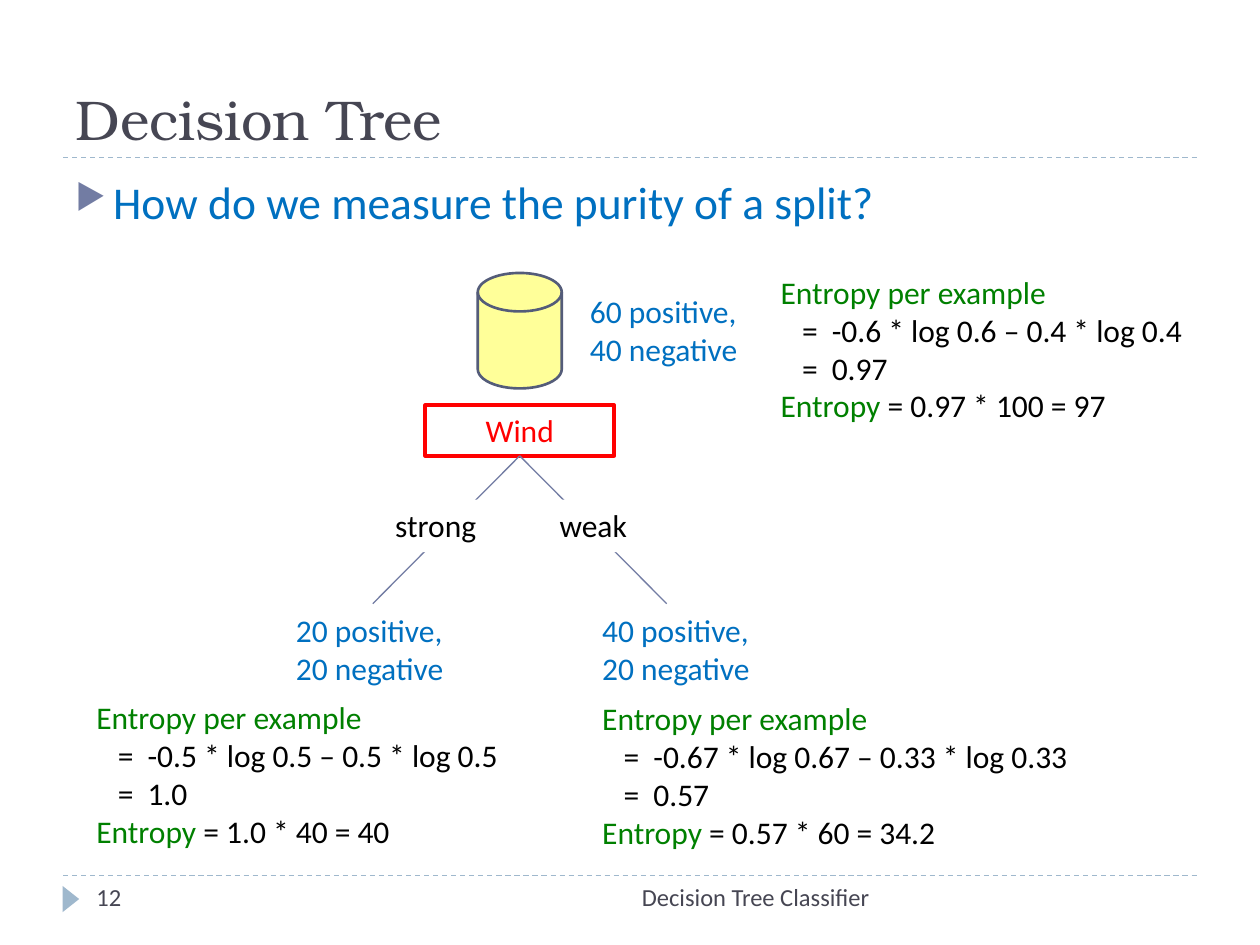
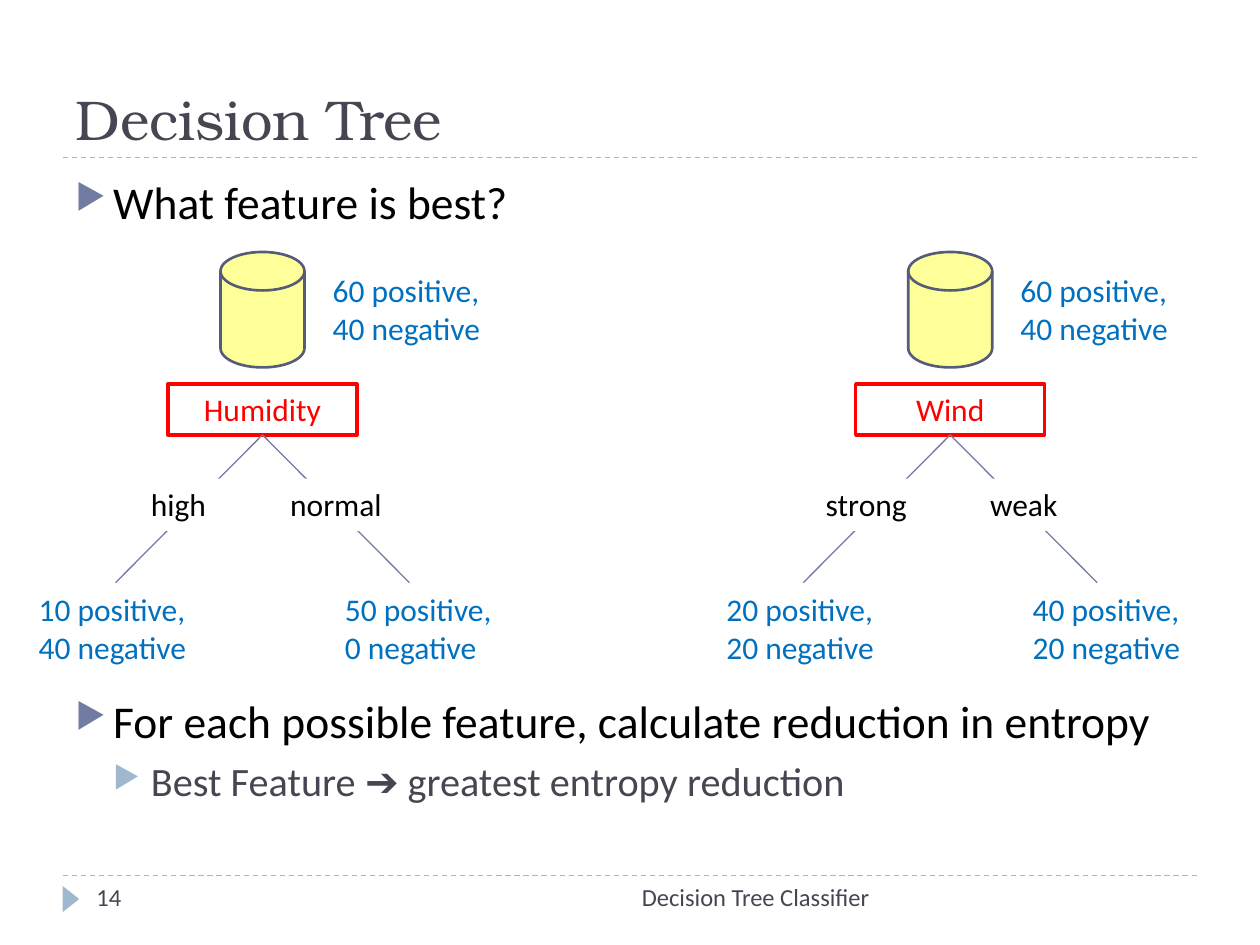
from dataclasses import dataclass

from lxml import etree
from pptx import Presentation
from pptx.dml.color import RGBColor
from pptx.enum import dml, shapes, text
from pptx.oxml import ns
from pptx.util import Pt

BODY_FONT, TITLE_FONT = "Calibri", "TeX Gyre Bonum"
SLATE, PALE_BLUE, PURPLE, OUTLINE = "464653", "9FB8CD", "727CA3", "545C79"
BLUE, GREEN, RED, BLACK = "0070C0", "008000", "FF0000", "000000"
WHITE, YELLOW = "FFFFFF", "FFFF00"
LEFT, RIGHT, CENTER = text.PP_ALIGN.LEFT, text.PP_ALIGN.RIGHT, text.PP_ALIGN.CENTER
TOP, BOTTOM = text.MSO_ANCHOR.TOP, text.MSO_ANCHOR.BOTTOM


@dataclass
class Line:
    """A paragraph made of (wording, colour) runs."""
    runs: list[tuple[str, str]]
    size: float = 18
    indent: float = 0
    hanging: float = 0
    before: float = 0
    level: int = 0
    bullet: str = ""


@dataclass
class Branch:
    value: str
    counts: str


@dataclass
class Tree:
    center: float
    top: float
    feature: str
    branches: tuple[Branch, Branch]


@dataclass
class Entropy:
    left: float
    top: float
    width: float
    formula: str
    per_example: str
    total: str


def color(value: str) -> RGBColor:
    return RGBColor.from_string(value)


def add_xml(parent, tag: str, **attributes: str):
    return etree.SubElement(parent, ns.qn(tag), attributes)


def write(shape, lines: list[Line], font=BODY_FONT, align=LEFT, anchor=TOP) -> None:
    frame = shape.text_frame
    frame.word_wrap = True
    frame.vertical_anchor = anchor
    for number, line in enumerate(lines):
        paragraph = frame.add_paragraph() if number else frame.paragraphs[0]
        paragraph.alignment = align
        paragraph.level = line.level
        paragraph.space_before = Pt(line.before)
        properties = paragraph._p.get_or_add_pPr()
        properties.set("marL", str(Pt(line.indent)))
        properties.set("indent", str(Pt(-line.hanging)))
        if line.bullet:
            add_xml(add_xml(properties, "a:buClr"), "a:srgbClr", val=line.bullet)
            add_xml(properties, "a:buSzPct", val="76000")
            add_xml(properties, "a:buChar", char="▶")
        for wording, tint in line.runs:
            run = paragraph.add_run()
            run.text = wording
            run.font.name = font
            run.font.size = Pt(line.size)
            run.font.color.rgb = color(tint)


def add_text(slide, left: float, top: float, width: float, height: float,
             lines: list[Line], **style) -> None:
    box = slide.shapes.add_textbox(Pt(left), Pt(top), Pt(width), Pt(height))
    write(box, lines, **style)


def add_shape(slide, kind, left: float, top: float, width: float, height: float,
              fill: str = "", outline: str = "", weight: float = 0):
    shape = slide.shapes.add_shape(kind, Pt(left), Pt(top), Pt(width), Pt(height))
    shape.shadow.inherit = False
    if fill:
        shape.fill.solid()
        shape.fill.fore_color.rgb = color(fill)
    else:
        shape.fill.background()
    if outline:
        shape.line.color.rgb = color(outline)
        shape.line.width = Pt(weight)
    else:
        shape.line.fill.background()
    return shape


def add_line(slide, x1: float, y1: float, x2: float, y2: float, tint: str):
    line = slide.shapes.add_connector(
        shapes.MSO_CONNECTOR.STRAIGHT, Pt(x1), Pt(y1), Pt(x2), Pt(y2))
    line.line.color.rgb = color(tint)
    line.line.width = Pt(0.75)
    add_xml(line._element.spPr, "a:effectLst")
    return line


def add_frame(deck, number: int):
    """Add a slide with the shared title, rules and footer."""
    slide = deck.slides.add_slide(deck.slide_layouts[6])
    for y in (500.4, 90):
        rule = add_line(slide, 36, y, 684, y, PALE_BLUE)
        rule.line.dash_style = dml.MSO_LINE.DASH
    marker = add_shape(slide, shapes.MSO_SHAPE.ISOSCELES_TRIANGLE,
                       33, 509, 15, 9.5, fill=PALE_BLUE)
    marker.rotation = 90
    add_text(slide, 36, 12, 648, 78, [Line([("Decision Tree", SLATE)], size=32)],
             font=TITLE_FONT, anchor=BOTTOM)
    add_text(slide, 228, 500.4, 276, 28.8,
             [Line([("Decision Tree Classifier", SLATE)], size=14)], align=RIGHT)
    add_text(slide, 48, 500.4, 156, 28.8, [Line([(str(number), SLATE)], size=14)])
    return slide


def point(wording: str, tint: str = BLACK, before: float = 6) -> Line:
    return Line([(wording, tint)], size=26, indent=21.6, hanging=21.6,
                before=before, bullet=PURPLE)


def add_body(slide, lines: list[Line]) -> None:
    add_text(slide, 36, 96, 648, 389, lines)


def add_counts(slide, left: float, top: float, counts: str) -> None:
    add_text(slide, left, top, 102, 51, [Line([(counts, BLUE)])])


def add_tree(slide, tree: Tree) -> None:
    x, y = tree.center, tree.top
    examples = add_shape(slide, shapes.MSO_SHAPE.FLOWCHART_MAGNETIC_DISK,
                         x - 24, y, 48, 66, YELLOW, OUTLINE, 1.5)
    fill_color = examples._element.spPr.find(".//" + ns.qn("a:srgbClr"))
    add_xml(fill_color, "a:alpha", val="40000")
    feature = add_shape(slide, shapes.MSO_SHAPE.RECTANGLE,
                        x - 54, y + 75.5, 108, 29, outline=RED, weight=2)
    write(feature, [Line([(tree.feature, RED)])], align=CENTER)
    add_counts(slide, x + 33, y + 7.5, "60 positive, 40 negative")
    offsets = ((-84, -84, -135), (84, 6, 40))
    for branch, (tip, value_left, counts_left) in zip(tree.branches, offsets):
        add_line(slide, x, y + 104.5, x + tip, y + 189, PURPLE)
        value = add_shape(slide, shapes.MSO_SHAPE.RECTANGLE,
                          x + value_left, y + 129.5, 72, 30, fill=WHITE)
        write(value, [Line([(branch.value, BLACK)])], align=CENTER)
        add_counts(slide, x + counts_left, y + 189.5, branch.counts)


def add_entropy(slide, entropy: Entropy) -> None:
    steps = [Line([("=\t" + step, BLACK)], indent=29.25, hanging=17)
             for step in (entropy.formula, entropy.per_example)]
    add_text(slide, entropy.left, entropy.top, entropy.width, 94.5, [
        Line([("Entropy per example", GREEN)]),
        *steps,
        Line([("Entropy", GREEN), (f" = {entropy.total}", BLACK)]),
    ])


WIND = (Branch("strong", "20 positive, 20 negative"),
        Branch("weak", "40 positive, 20 negative"))
HUMIDITY = (Branch("high", "10 positive, 40 negative"),
            Branch("normal", "50 positive, 0 negative"))
ENTROPIES = (
    Entropy(439, 152.5, 263, "-0.6 * log 0.6 – 0.4 * log 0.4", "0.97",
            "0.97 * 100 = 97"),
    Entropy(48, 395.5, 263, "-0.5 * log 0.5 – 0.5 * log 0.5", "1.0",
            "1.0 * 40 = 40"),
    Entropy(337, 396, 317, "-0.67 * log 0.67 – 0.33 * log 0.33", "0.57",
            "0.57 * 60 = 34.2"),
)


def build_purity_slide(deck) -> None:
    slide = add_frame(deck, 12)
    add_body(slide, [point("How do we measure the purity of a split?", BLUE)])
    add_tree(slide, Tree(297, 156, "Wind", WIND))
    for entropy in ENTROPIES:
        add_entropy(slide, entropy)


def build_best_feature_slide(deck) -> None:
    slide = add_frame(deck, 14)
    add_body(slide, [
        point("What feature is best?"),
        point("For each possible feature, calculate reduction in entropy",
              before=265.5),
        Line([("Best Feature ➔ greatest entropy reduction", SLATE)], size=23,
             indent=43.2, hanging=21.6, before=5, level=1, bullet=PALE_BLUE),
    ])
    add_tree(slide, Tree(150, 144, "Humidity", HUMIDITY))
    add_tree(slide, Tree(543, 144, "Wind", WIND))


def main() -> None:
    deck = Presentation()
    deck.slide_width, deck.slide_height = Pt(720), Pt(540)
    build_purity_slide(deck)
    build_best_feature_slide(deck)
    deck.save("out.pptx")


if __name__ == "__main__":
    main()
